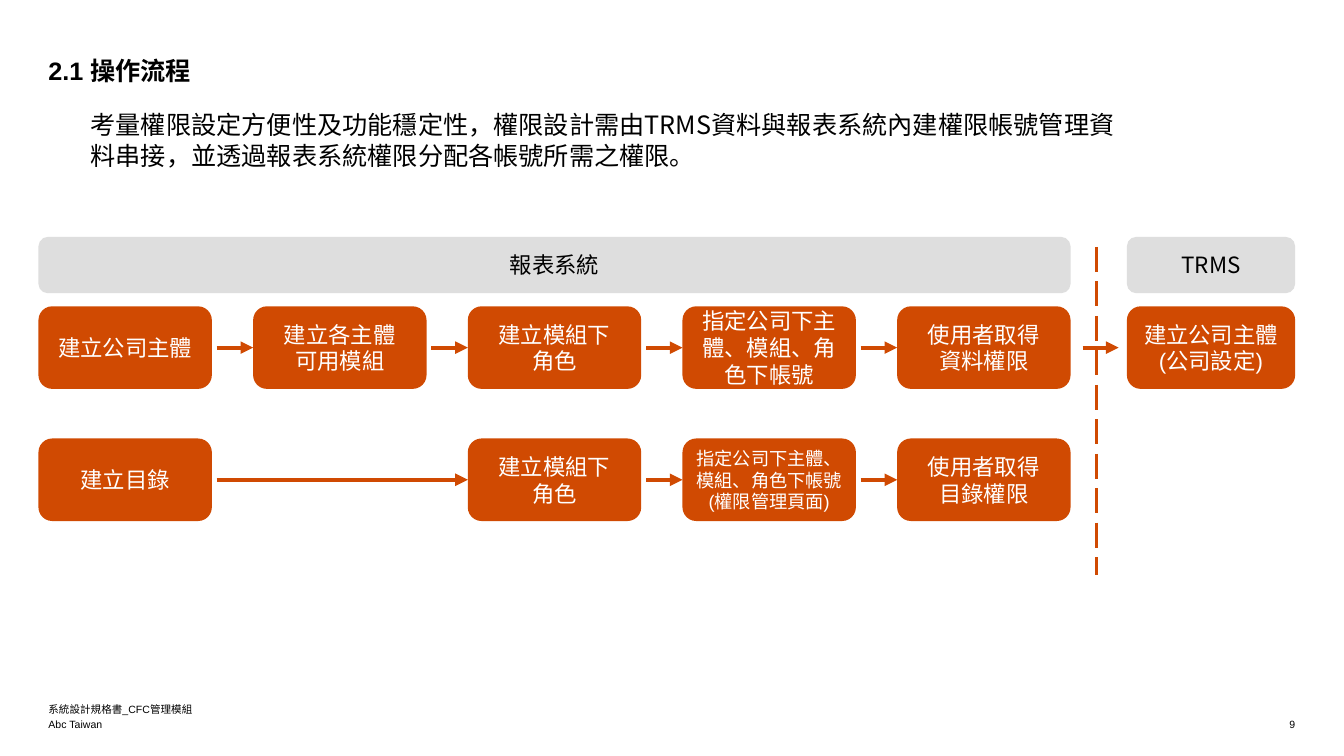
from lxml import etree
from pptx import Presentation
from pptx.dml.color import RGBColor
from pptx.enum.dml import MSO_LINE
from pptx.enum.shapes import MSO_CONNECTOR, MSO_SHAPE
from pptx.enum.text import MSO_ANCHOR, PP_ALIGN
from pptx.oxml.ns import qn
from pptx.util import Cm, Pt

ROUNDED, STRAIGHT = MSO_SHAPE.ROUNDED_RECTANGLE, MSO_CONNECTOR.STRAIGHT
LEFT, CENTER, RIGHT = PP_ALIGN.LEFT, PP_ALIGN.CENTER, PP_ALIGN.RIGHT
TOP, MIDDLE, BOTTOM = MSO_ANCHOR.TOP, MSO_ANCHOR.MIDDLE, MSO_ANCHOR.BOTTOM
LONG_DASH = MSO_LINE.LONG_DASH
LEFT_SIDE = 1

COLORS = {"step": "D04A02", "header": "DEDEDE", "dark": "000000", "light": "FFFFFF"}
BODY, CJK = "Arial", "Noto Sans CJK SC"

TITLE = "2.1 操作流程"
INTRO = ("考量權限設定方便性及功能穩定性，權限設計需由TRMS資料與報表系統內建權限帳號"
         "管理資料串接，並透過報表系統權限分配各帳號所需之權限。")
FOOTERS = [  # text, left, top, width, alignment
    ("系統設計規格書_CFC管理模組", 1.22, 17.65, 15.2, LEFT),
    ("Abc Taiwan", 1.22, 18.03, 15.2, LEFT),
    ("9", 27.74, 18.03, 4.9, RIGHT),
]
REPORT_SYSTEM, TARGET_SYSTEM = "報表系統", "TRMS"
TARGET_STEP = "建立公司主體\n(公司設定)"
# Each flow: top, then (column, text, size) per step; \v is a line break
FLOWS = [
    (7.72, [(0, "建立公司主體", 16), (1, "建立各主體\v可用模組", 16),
            (2, "建立模組下\v角色", 16), (3, "指定公司下主體、模組、角色下帳號", 16),
            (4, "使用者取得\v資料權限", 16)]),
    (11.05, [(0, "建立目錄", 16), (2, "建立模組下\v角色", 16),
             (3, "指定公司下主體、模組、角色下帳號(權限管理頁面)", 13),
             (4, "使用者取得\v目錄權限", 16)]),
]

# Layout in centimetres
COLUMN_LEFT, COLUMN_PITCH = 0.97, 5.41
STEP_W, STEP_H = 4.37, 2.08
HEADER_TOP, HEADER_H = 5.97, 1.42
TARGET_LEFT, TARGET_W = 28.4, 4.24
ARROW_GAP = 0.12
DIVIDER_X, DIVIDER_TOP, DIVIDER_BOTTOM = 27.64, 6.22, 14.5
CROSSING_START, CROSSING_END = 27.28, 28.19


def color(name):
    return RGBColor.from_string(COLORS[name])


def write(tf, text, size, font, ink, align=LEFT, anchor=TOP, bold=False):
    tf.text = text
    tf.word_wrap = True
    tf.vertical_anchor = anchor
    for p in tf.paragraphs:
        p.alignment = align
        for r in p.runs:
            r.font.size, r.font.name, r.font.bold = Pt(size), font, bold
            r.font.color.rgb = color(ink)


def add_text(left, top, width, height, text, size, font, inset=0, **style):
    box = s.shapes.add_textbox(Cm(left), Cm(top), Cm(width), Cm(height))
    tf = box.text_frame
    tf.margin_left = tf.margin_right = Cm(inset)
    tf.margin_top = tf.margin_bottom = Cm(inset / 2)
    write(tf, text, size, font, "dark", **style)


def add_box(left, top, width, height, text, fill, ink, font, size=16):
    sp = s.shapes.add_shape(ROUNDED, Cm(left), Cm(top), Cm(width), Cm(height))
    sp.shadow.inherit = False
    sp.fill.solid()
    sp.fill.fore_color.rgb = color(fill)
    sp.line.fill.background()
    write(sp.text_frame, text, size, font, ink, CENTER, MIDDLE)
    return sp


def add_step(left, top, width, text, size=16):
    return add_box(left, top, width, STEP_H, text, "step", "light", BODY, size)


def add_header(left, width, text):
    add_box(left, HEADER_TOP, width, HEADER_H, text, "header", "dark", CJK)


def add_line(x1, y1, x2, y2, width):
    line = s.shapes.add_connector(STRAIGHT, Cm(x1), Cm(y1), Cm(x2), Cm(y2))
    line.line.color.rgb = color("step")
    line.line.width = Pt(width)
    etree.SubElement(line._element.spPr, qn("a:effectLst"))
    return line


def add_arrow(x1, x2, y):
    arrow = add_line(x1, y, x2, y, 3)
    etree.SubElement(arrow.line._get_or_add_ln(), qn("a:tailEnd"), type="triangle")
    return arrow


def column_x(column):
    return COLUMN_LEFT + column * COLUMN_PITCH


prs = Presentation()
prs.slide_width, prs.slide_height = Cm(33.87), Cm(19.05)
s = prs.slides.add_slide(prs.slide_layouts[6])

add_text(1.22, 1.4, 10.1, 0.76, TITLE, 18, BODY, bold=True)
add_text(2.03, 2.64, 26.7, 1.8, INTRO, 18, CJK, inset=0.25)
for text, left, top, width, align in FOOTERS:
    add_text(left, top, width, 0.38, text, 7.5, BODY, align=align, anchor=BOTTOM)

add_header(COLUMN_LEFT, column_x(4) + STEP_W - COLUMN_LEFT, REPORT_SYSTEM)
add_header(TARGET_LEFT, TARGET_W, TARGET_SYSTEM)
add_line(DIVIDER_X, DIVIDER_TOP, DIVIDER_X, DIVIDER_BOTTOM, 2.25).line.dash_style = LONG_DASH

for top, steps in FLOWS:
    previous_right = None
    for column, text, size in steps:
        left = column_x(column)
        step = add_step(left, top, STEP_W, text, size)
        if previous_right is not None:
            arrow = add_arrow(previous_right + ARROW_GAP, left, top + STEP_H / 2)
            arrow.end_connect(step, LEFT_SIDE)
        previous_right = left + STEP_W

first_top = FLOWS[0][0]
add_step(TARGET_LEFT, first_top, TARGET_W, TARGET_STEP)
add_arrow(CROSSING_START, CROSSING_END, first_top + STEP_H / 2)

prs.save("out.pptx")
